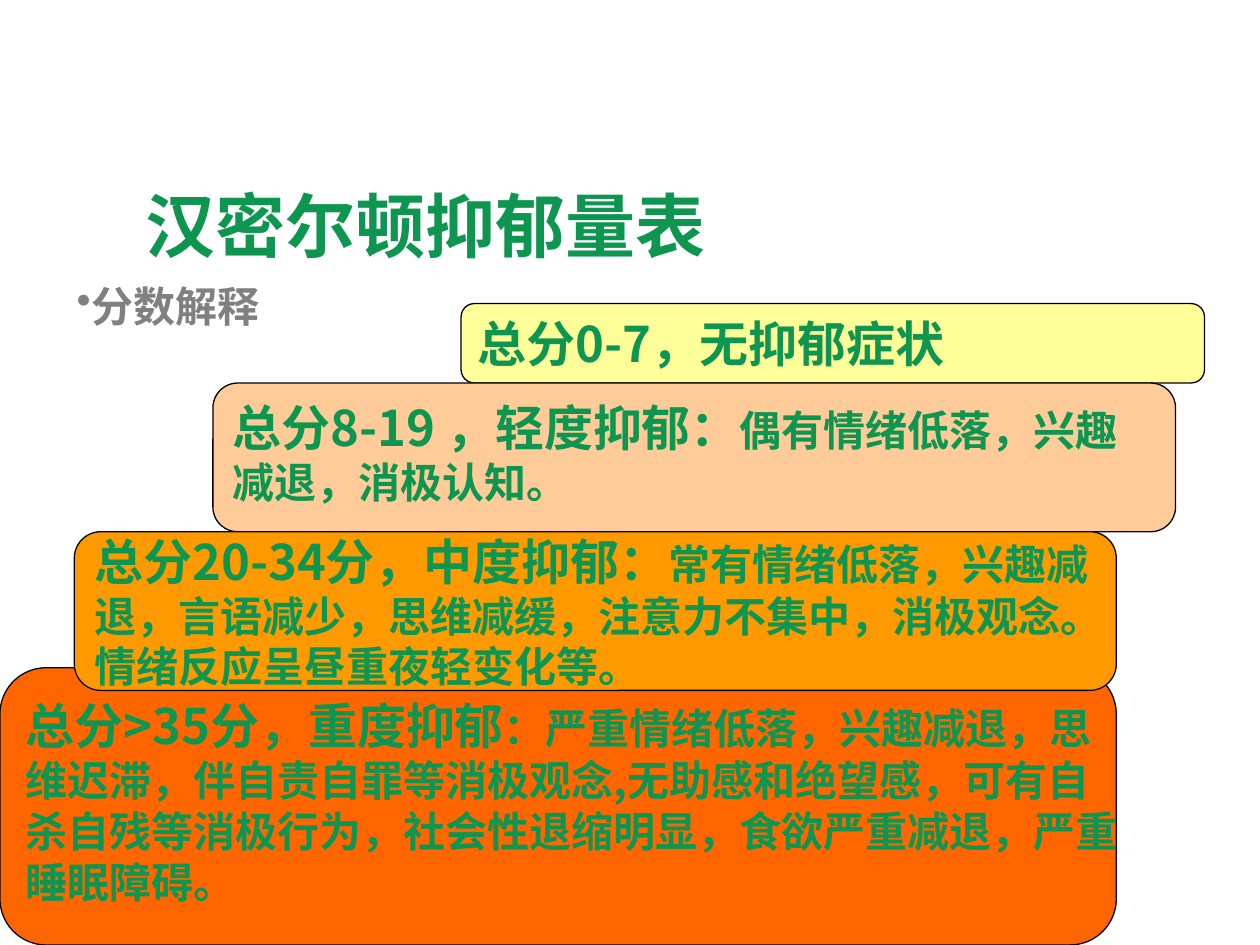
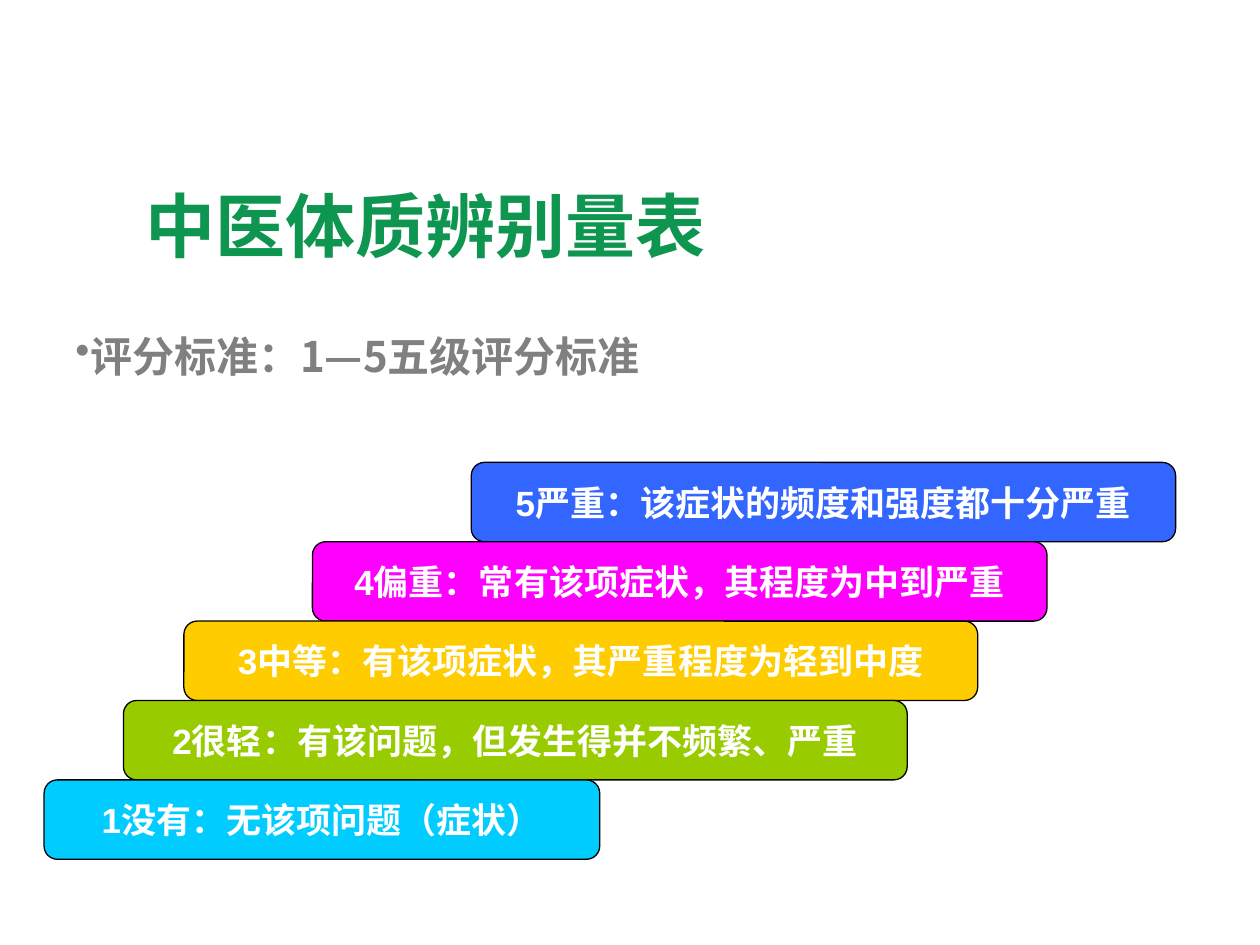
"""Build two slides that explain the scoring of rating scales as stepped bars."""
from lxml import etree
from pptx import Presentation
from pptx.dml.color import RGBColor
from pptx.enum.shapes import MSO_SHAPE
from pptx.enum.text import MSO_ANCHOR, PP_ALIGN
from pptx.oxml.ns import qn
from pptx.util import Inches, Pt

ROUNDED = MSO_SHAPE.ROUNDED_RECTANGLE
TOP, MIDDLE = MSO_ANCHOR.TOP, MSO_ANCHOR.MIDDLE
LEFT, CENTER = PP_ALIGN.LEFT, PP_ALIGN.CENTER

CJK, LATIN = "Noto Sans CJK SC", "Arial"
GREEN, GRAY, WHITE, BLACK = "0E9651", "808080", "FFFFFF", "000000"

TITLE = dict(size=Pt(40), name=CJK, color=GREEN)
SUBTITLE = dict(size=Pt(24), name=CJK, color=GRAY)
GRADE = dict(size=Pt(28), name=CJK, color=GREEN)
DETAIL = dict(size=Pt(24), name=CJK, color=GREEN)
LEVEL = dict(size=Pt(20), name=LATIN, color=WHITE)

TIGHT = dict(line_spacing=0.8, space_before=Pt(6))
PLAIN = {}

TITLE_BOX = (1.06, 1.39, 8.44, 0.79)

DEPRESSION = dict(
    title="汉密尔顿抑郁量表",
    subtitle="分数解释",
    subtitle_box=(0.51, 2.1, 8.62, 4.6),
)
DEPRESSION_BARS = [
    ((0, 5.3, 8.86, 2.2), "FF6600", TIGHT, "总分>35分，重度抑郁", [
        "：严重情绪低落，兴趣减退，思",
        "维迟滞，伴自责自罪等消极观念,无助感和绝望感，可有自",
        "杀自残等消极行为，社会性退缩明显，食欲严重减退，严重",
        "睡眠障碍。",
    ]),
    ((3.66, 2.41, 5.9, 0.63), "FFFF99", PLAIN, "总分0-7，无抑郁症状", [""]),
    ((1.69, 3.04, 7.64, 1.18), "FFCC99", TIGHT, "总分8-19 ，轻度抑郁：", [
        "偶有情绪低落，兴趣",
        "减退，消极认知。",
    ]),
    ((0.59, 4.22, 8.27, 1.26), "FF9900", PLAIN, "总分20-34分，中度抑郁：", [
        "常有情绪低落，兴趣减",
        "退，言语减少，思维减缓，注意力不集中，消极观念。",
        "情绪反应呈昼重夜轻变化等。",
    ]),
]

CONSTITUTION = dict(
    title="中医体质辨别量表",
    subtitle="评分标准：1—5五级评分标准",
    subtitle_box=(0.5, 2.49, 9, 4.25),
)
LEVEL_TOP, LEVEL_HEIGHT = 3.67, 0.63
LEVEL_BARS = [
    (3.74, 5.59, "3366FF", "5严重：该症状的频度和强度都十分严重"),
    (2.48, 5.83, "FF00FF", "4偏重：常有该项症状，其程度为中到严重"),
    (1.46, 6.3, "FFCC00", "3中等：有该项症状，其严重程度为轻到中度"),
    (0.98, 6.22, "99CC00", "2很轻：有该问题，但发生得并不频繁、严重"),
    (0.35, 4.41, "00CCFF", "1没有：无该项问题（症状）"),
]


def rgb(color):
    return RGBColor.from_string(color)


def add_run(p, text, style):
    r = p.add_run()
    r.text = text
    r.font.bold = True
    for key, value in style.items():
        if key == "color":
            r.font.color.rgb = rgb(value)
        else:
            setattr(r.font, key, value)
    etree.SubElement(r.font._element, qn("a:ea"), typeface=CJK)


def fill_text(tf, lines, align=LEFT, spacing=PLAIN):
    for i, runs in enumerate(lines):
        p = tf.add_paragraph() if i else tf.paragraphs[0]
        p.alignment = align
        for key, value in spacing.items():
            if i or key != "space_before":
                setattr(p, key, value)
        for text, style in runs:
            add_run(p, text, style)


def add_text(s, box, text, style, anchor, spacing=PLAIN):
    tf = s.shapes.add_textbox(*map(Inches, box)).text_frame
    tf.word_wrap = True
    tf.vertical_anchor = anchor
    fill_text(tf, [[(text, style)]], spacing=spacing)
    return tf.paragraphs[0]


def add_bullet(p, color):
    pPr = p._p.get_or_add_pPr()
    pPr.set("marL", str(Inches(0.02)))
    pPr.set("indent", str(Inches(-0.02)))
    clr = etree.SubElement(pPr, qn("a:buClr"))
    etree.SubElement(clr, qn("a:srgbClr"), val=color)
    etree.SubElement(pPr, qn("a:buChar"), char="•")


def add_bar(s, box, fill, lines, align=LEFT, spacing=PLAIN):
    sp = s.shapes.add_shape(ROUNDED, *map(Inches, box))
    sp.shadow.inherit = False
    sp.fill.solid()
    sp.fill.fore_color.rgb = rgb(fill)
    sp.line.color.rgb = rgb(BLACK)
    sp.line.width = Pt(0.75)
    tf = sp.text_frame
    tf.word_wrap = False
    tf.vertical_anchor = MIDDLE
    fill_text(tf, lines, align, spacing)


def add_scale_slide(prs, title, subtitle, subtitle_box):
    s = prs.slides.add_slide(prs.slide_layouts[6])
    add_text(s, TITLE_BOX, title, TITLE, MIDDLE)
    p = add_text(s, subtitle_box, subtitle, SUBTITLE, TOP, dict(line_spacing=1.2))
    add_bullet(p, GRAY)
    return s


def main():
    prs = Presentation()
    prs.slide_width, prs.slide_height = Inches(10), Inches(7.5)

    s = add_scale_slide(prs, **DEPRESSION)
    for box, fill, spacing, grade, details in DEPRESSION_BARS:
        lines = [[(text, DETAIL)] if text else [] for text in details]
        lines[0].insert(0, (grade, GRADE))
        add_bar(s, box, fill, lines, spacing=spacing)

    s = add_scale_slide(prs, **CONSTITUTION)
    for i, (left, width, fill, text) in enumerate(LEVEL_BARS):
        box = (left, LEVEL_TOP + i * LEVEL_HEIGHT, width, LEVEL_HEIGHT)
        add_bar(s, box, fill, [[(text, LEVEL)]], CENTER)

    prs.save("out.pptx")


if __name__ == "__main__":
    main()
